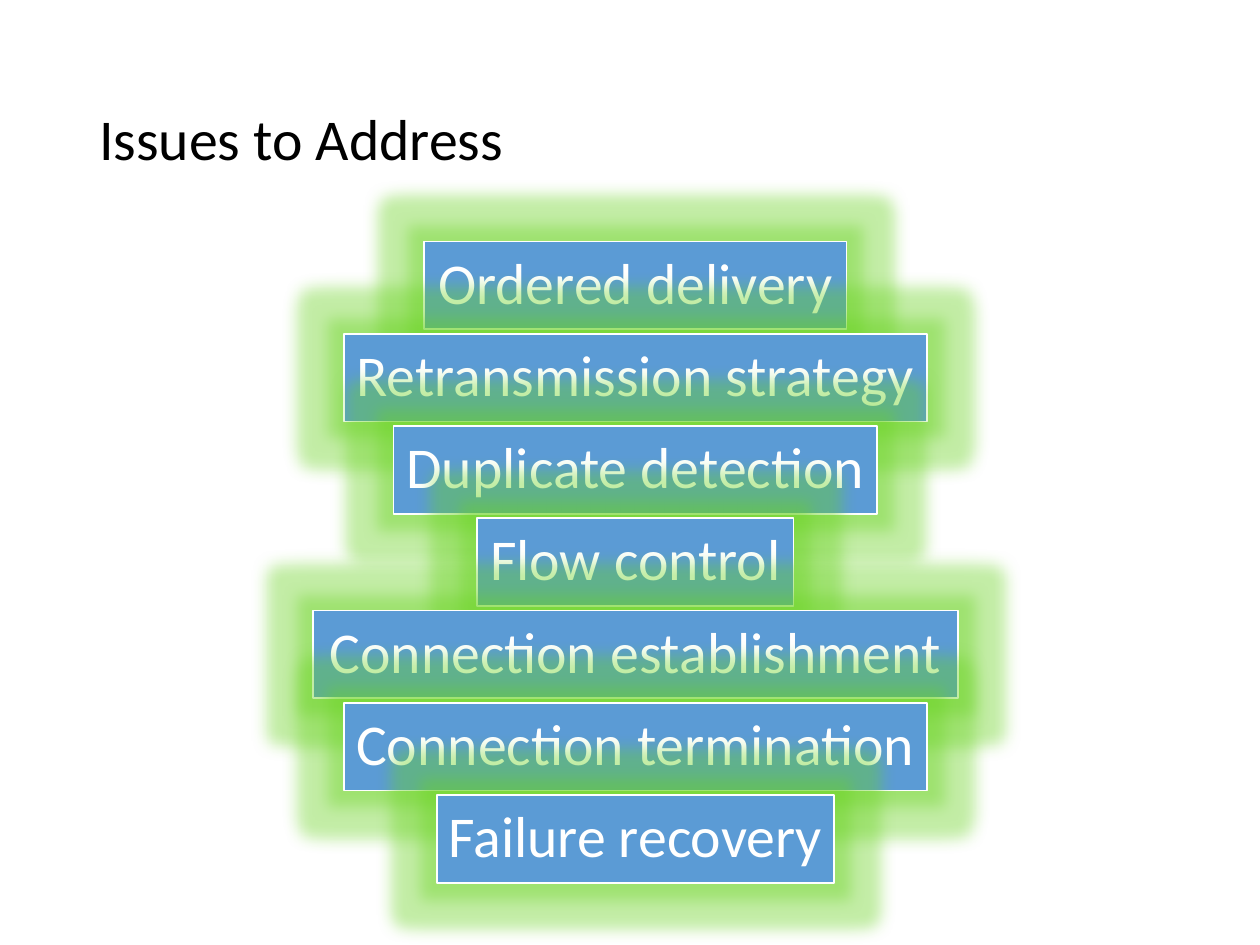
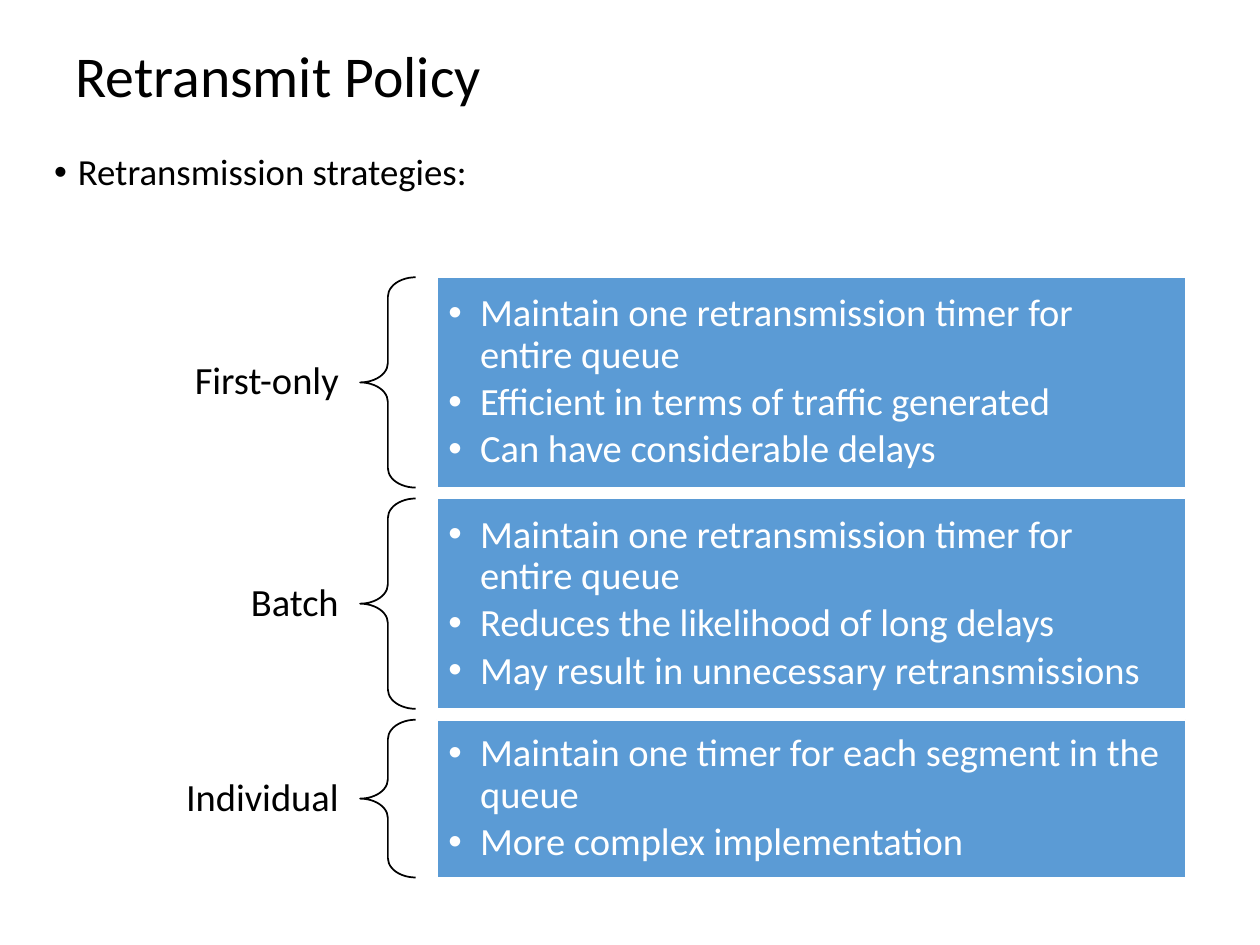
from lxml import etree
from pptx import Presentation, util as u
from pptx.dml.color import RGBColor
from pptx.enum import shapes, text
from pptx.oxml.ns import qn

# Content
ISSUES_TITLE = "Issues to Address"
ISSUES = [  # label, box width in cm
    ("Ordered delivery", 8.51),
    ("Retransmission strategy", 11.76),
    ("Duplicate detection", 9.75),
    ("Flow control", 6.38),
    ("Connection establishment", 13),
    ("Connection termination", 11.76),
    ("Failure recovery", 8),
]
POLICY_TITLE = "Retransmit Policy"
POLICY_LEAD = "Retransmission strategies:"
POLICIES = [  # name, block height in cm, points
    ("First-only", 4.24, ["Maintain one retransmission timer for entire queue",
                          "Efficient in terms of traffic generated",
                          "Can have considerable delays"]),
    ("Batch", 4.24, ["Maintain one retransmission timer for entire queue",
                     "Reduces the likelihood of long delays",
                     "May result in unnecessary retransmissions"]),
    ("Individual", 3.18, ["Maintain one timer for each segment in the queue",
                          "More complex implementation"]),
]

# Shared style
FONT = "Calibri"
BLACK, WHITE, BLUE, GREEN = "000000", "FFFFFF", "5B9BD5", "69D321"
LEFT, CENTER, RIGHT = text.PP_ALIGN.LEFT, text.PP_ALIGN.CENTER, text.PP_ALIGN.RIGHT
MIDDLE, TOP = text.MSO_ANCHOR.MIDDLE, text.MSO_ANCHOR.TOP


def color(value):
    return RGBColor.from_string(value)


def apply(obj, **formats):
    for name, value in formats.items():
        setattr(obj, name, value)


def place(sp, x, y, w, h):
    apply(sp, left=u.Cm(x), top=u.Cm(y), width=u.Cm(w), height=u.Cm(h))


def set_bullet(p, indent):
    ppr = p._p.get_or_add_pPr()
    ppr.set("marL", str(u.Cm(indent)))
    ppr.set("indent", str(-u.Cm(indent)))
    etree.SubElement(ppr, qn("a:buFont"), typeface="Arial")
    etree.SubElement(ppr, qn("a:buChar"), char="•")


def write(sp, lines, size, ink, align=LEFT, anchor=MIDDLE, margins=(0.25, 0.13),
          before=0, after=0, bullet=None):
    tf = sp.text_frame
    mx, my = map(u.Cm, margins)
    apply(tf, word_wrap=True, auto_size=text.MSO_AUTO_SIZE.NONE, vertical_anchor=anchor,
          margin_left=mx, margin_right=mx, margin_top=my, margin_bottom=my)
    for i, line in enumerate(lines):
        p = tf.paragraphs[0] if i == 0 else tf.add_paragraph()
        apply(p, alignment=align, line_spacing=0.9,
              space_before=u.Pt(before), space_after=u.Pt(after))
        if bullet:
            set_bullet(p, bullet)
        r = p.add_run()
        r.text = line
        apply(r.font, name=FONT, size=u.Pt(size))
        r.font.color.rgb = color(ink)


def add_title(s, title, *box):
    place(s.shapes.title, *box)
    write(s.shapes.title, [title], 33, BLACK)


def add_shape(s, kind, x, y, w, h, fill=None, line=WHITE):
    sp = s.shapes.add_shape(kind, *map(u.Cm, (x, y, w, h)))
    sp.shadow.inherit = False
    if fill:
        sp.fill.solid()
        sp.fill.fore_color.rgb = color(fill)
    else:
        sp.fill.background()
    sp.line.color.rgb = color(line)
    sp.line.width = u.Pt(1)
    return sp


def add_glow(sp, radius, tint, alpha):
    effects = sp._element.spPr.find(qn("a:effectLst"))
    glow = etree.SubElement(effects, qn("a:glow"), rad=str(u.Pt(radius)))
    clr = etree.SubElement(glow, qn("a:srgbClr"), val=tint)
    etree.SubElement(clr, qn("a:alpha"), val=str(alpha * 1000))


def build_issues(prs):
    s = prs.slides.add_slide(prs.slide_layouts[5])
    add_title(s, ISSUES_TITLE, 1.75, 1.02, 21.9, 3.68)
    # Centred stack of glowing boxes
    middle, top, height, pitch = 12.81, 4.87, 1.77, 1.86
    for i, (label, width) in enumerate(ISSUES):
        sp = add_shape(s, shapes.MSO_SHAPE.RECTANGLE, middle - width / 2,
                       top + i * pitch, width, height, BLUE)
        add_glow(sp, 18, GREEN, 40)
        write(sp, [label], 33, WHITE, CENTER, margins=(0.23, 0.23))


def build_policy(prs):
    s = prs.slides.add_slide(prs.slide_layouts[1])
    add_title(s, POLICY_TITLE, 1.27, 0, 22.86, 3.18)
    body = s.placeholders[1]
    place(body, 0.84, 2.97, 24.13, 16.71)
    write(body, [POLICY_LEAD], 21, BLACK, anchor=TOP, before=7.5, bullet=0.48)
    # One row per policy: name, brace, points
    y, gap, name_height = 5.59, 0.22, 1.22
    for name, height, points in POLICIES:
        tb = s.shapes.add_textbox(0, 0, 0, 0)
        place(tb, 1.7, y + (height - name_height) / 2, 5.56, name_height)
        write(tb, [name], 22, BLACK, RIGHT, margins=(0.43, 0.15))
        brace = add_shape(s, shapes.MSO_SHAPE.LEFT_BRACE, 7.26, y, 1.12, height, line=BLACK)
        brace.adjustments[0], brace.adjustments[1] = 0.35, 0.5
        block = add_shape(s, shapes.MSO_SHAPE.RECTANGLE, 8.81, y, 15.09, height, BLUE)
        write(block, points, 22, WHITE, margins=(0.23, 0.23), after=3.3, bullet=0.64)
        y += height + gap


def main():
    prs = Presentation()
    apply(prs, slide_width=u.Cm(25.4), slide_height=u.Cm(19.05))
    build_issues(prs)
    build_policy(prs)
    prs.save("out.pptx")


if __name__ == "__main__":
    main()
